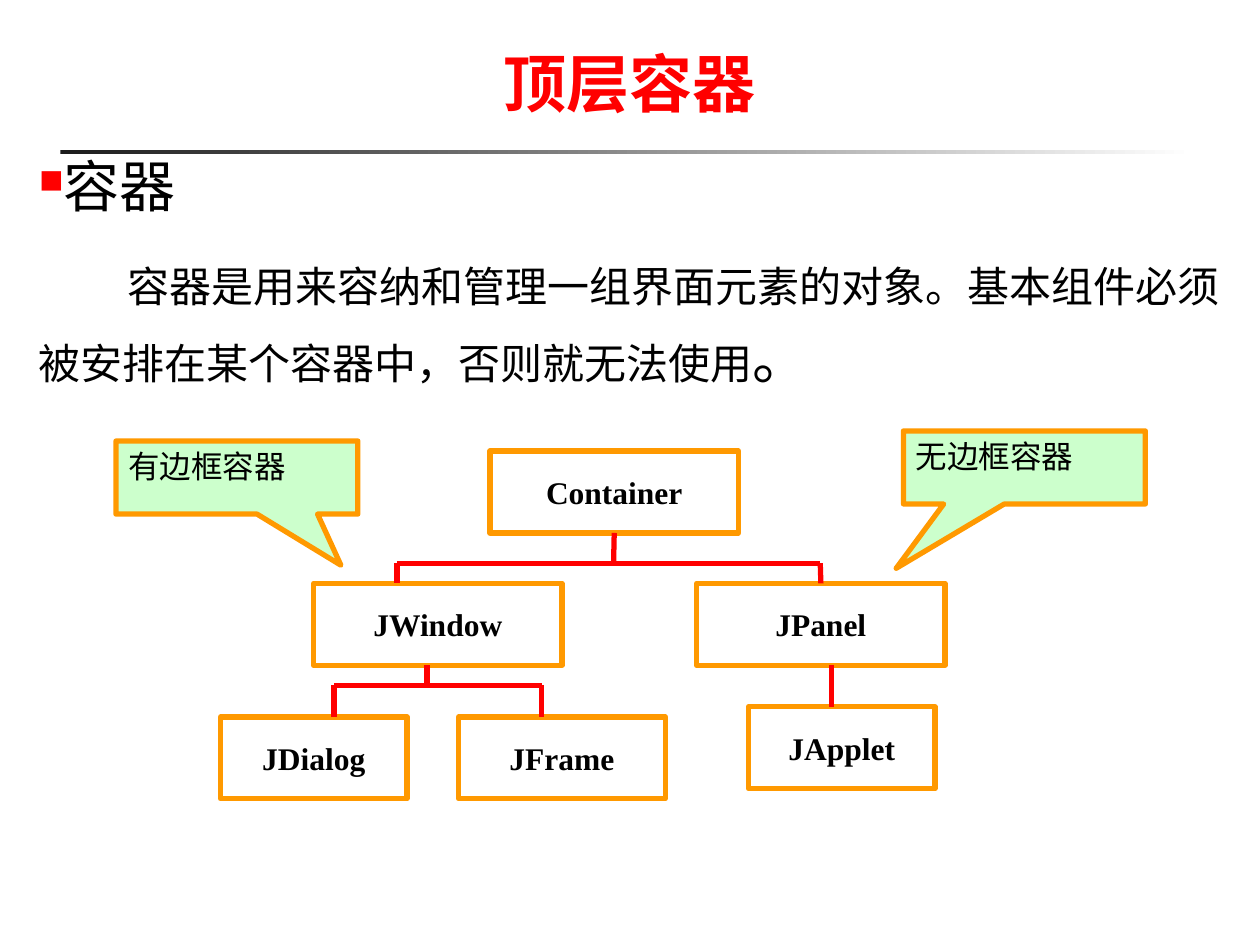
from lxml import etree
from pptx import Presentation
from pptx.dml.color import RGBColor
from pptx.enum.shapes import MSO_CONNECTOR, MSO_SHAPE
from pptx.enum.text import MSO_ANCHOR, PP_ALIGN
from pptx.oxml.ns import qn
from pptx.util import Inches, Pt

RECT, CALLOUT = MSO_SHAPE.RECTANGLE, MSO_SHAPE.RECTANGULAR_CALLOUT
STRAIGHT = MSO_CONNECTOR.STRAIGHT
TOP, MIDDLE = MSO_ANCHOR.TOP, MSO_ANCHOR.MIDDLE
LEFT, CENTER = PP_ALIGN.LEFT, PP_ALIGN.CENTER
SIDE_TOP, SIDE_BOTTOM = 0, 2

CJK, SERIF, TITLE_FONT = "Noto Sans CJK JP", "Times New Roman", "Cabin"
BLACK, RED, ORANGE, GREEN = "000000", "FF0000", "FF9900", "CCFFCC"
BOX_HEIGHT = 0.65
JOIN_Y, CHILD_Y = 4.47, 4.63
LEAF_JOIN_Y, LEAF_Y = 5.44, 5.69

CLASS_BOXES = {  # name: left, top, width
    "Container": (3.89, 3.58, 1.97),
    "JWindow": (2.49, CHILD_Y, 1.97),
    "JPanel": (5.53, CHILD_Y, 1.97),
    "JDialog": (1.75, LEAF_Y, 1.48),
    "JFrame": (3.64, LEAF_Y, 1.64),
    "JApplet": (5.94, 5.61, 1.48),
}


def rgb(value):
    return RGBColor.from_string(value)


def inches(box):
    return [Inches(v) for v in box]


def add_run(p, text, size, font=CJK, color=BLACK, bold=False):
    r = p.add_run()
    r.text = text
    for name, value in {"size": Pt(size), "name": font, "bold": bold}.items():
        setattr(r.font, name, value)
    r.font.color.rgb = rgb(color)
    ea = etree.SubElement(r.font._element, qn("a:ea"))
    ea.set("typeface", CJK)


def add_box(slide, box, text, kind=RECT, fill=None, align=CENTER,
            anchor=MIDDLE, bold=True):
    s = slide.shapes.add_shape(kind, *inches(box))
    s.shadow.inherit = False
    if fill:
        s.fill.solid()
        s.fill.fore_color.rgb = rgb(fill)
    else:
        s.fill.background()
    s.line.color.rgb = rgb(ORANGE)
    s.line.width = Pt(3)
    tf = s.text_frame
    tf.word_wrap = fill is not None
    tf.vertical_anchor = anchor
    p = tf.paragraphs[0]
    p.alignment = align
    add_run(p, text, 18, SERIF, bold=bold)
    return s


def add_line(slide, x1, y1, x2, y2):
    line = slide.shapes.add_connector(STRAIGHT, *inches((x1, y1, x2, y2)))
    line.line.color.rgb = rgb(RED)
    line.line.width = Pt(3)
    etree.SubElement(line._element.spPr, qn("a:effectLst"))
    return line


def add_title(slide, box):
    tf = slide.shapes.add_textbox(*inches(box)).text_frame
    tf.word_wrap = True
    p = tf.paragraphs[0]
    p.alignment = CENTER
    add_run(p, "顶层容器", 36, TITLE_FONT, RED, True)


def add_rule(slide, box):
    s = slide.shapes.add_shape(RECT, *inches(box))
    s.shadow.inherit = False
    s.line.fill.background()
    s.fill.gradient()
    s.fill.gradient_angle = 0
    for stop, color, position in zip(s.fill.gradient_stops,
                                     ("1C1C1C", "FFFFFF"), (0, 1)):
        stop.color.rgb = rgb(color)
        stop.position = position


def set_bullet(p, hang):
    pPr = p._p.get_or_add_pPr()
    pPr.set("marL", str(Inches(hang)))
    pPr.set("indent", str(-Inches(hang)))
    color = etree.SubElement(pPr, qn("a:buClr"))
    etree.SubElement(color, qn("a:srgbClr")).set("val", RED)
    etree.SubElement(pPr, qn("a:buSzPct")).set("val", "60000")
    etree.SubElement(pPr, qn("a:buChar")).set("char", "■")


def add_body(slide, box):
    tf = slide.shapes.add_textbox(*inches(box)).text_frame
    tf.word_wrap = True
    heading, text = tf.paragraphs[0], tf.add_paragraph()
    for p, before in ((heading, 3), (text, 6.4)):
        p.line_spacing = Pt(46)
        p.space_before = Pt(before)
    set_bullet(heading, 0.17)
    add_run(heading, "容器", 32)
    text._p.get_or_add_pPr().set("indent", str(Inches(0.7)))
    add_run(text, "容器是用来容纳和管理一组界面元素的对象。"
                  "基本组件必须被安排在某个容器中，否则就无法使用", 24)
    add_run(text, "。", 32)


def add_branch(slide, stem_x, stem_y, join_y, child_xs, child_y):
    """Draw a stem, a crossbar and one drop per child; return stem and drops."""
    stem = add_line(slide, stem_x, stem_y, stem_x, join_y)
    add_line(slide, child_xs[0], join_y, child_xs[-1], join_y)
    return stem, [add_line(slide, x, join_y, x, child_y) for x in child_xs]


def add_class_tree(slide):
    boxes = {name: add_box(slide, (*place, BOX_HEIGHT), name)
             for name, place in CLASS_BOXES.items()}
    stem, drops = add_branch(slide, 4.87, 4.23, JOIN_Y, (3.15, 6.51), CHILD_Y)
    stem.begin_connect(boxes["Container"], SIDE_BOTTOM)
    drops[1].end_connect(boxes["JPanel"], SIDE_TOP)
    add_branch(slide, 3.39, 5.28, LEAF_JOIN_Y, (2.65, 4.3), LEAF_Y)
    add_line(slide, 6.6, 5.28, 6.6, 5.61)


def add_callout(slide, box, text, tip):
    s = add_box(slide, box, text, CALLOUT, GREEN, LEFT, TOP, False)
    for i, value in enumerate(tip):
        s.adjustments[i] = value


def main():
    prs = Presentation()
    prs.slide_width, prs.slide_height = Inches(10), Inches(7.5)
    slide = prs.slides.add_slide(prs.slide_layouts[6])
    add_rule(slide, (0.48, 1.19, 9, 0.03))
    add_body(slide, (0.21, 1.05, 9.58, 5.06))
    add_class_tree(slide)
    add_callout(slide, (0.92, 3.5, 1.92, 0.58), "有边框容器", (0.43, 1.2))
    add_callout(slide, (7.17, 3.42, 1.92, 0.58), "无边框容器", (-0.53, 1.38))
    add_title(slide, (0.5, 0.3, 9, 1.25))
    prs.save("out.pptx")


if __name__ == "__main__":
    main()
